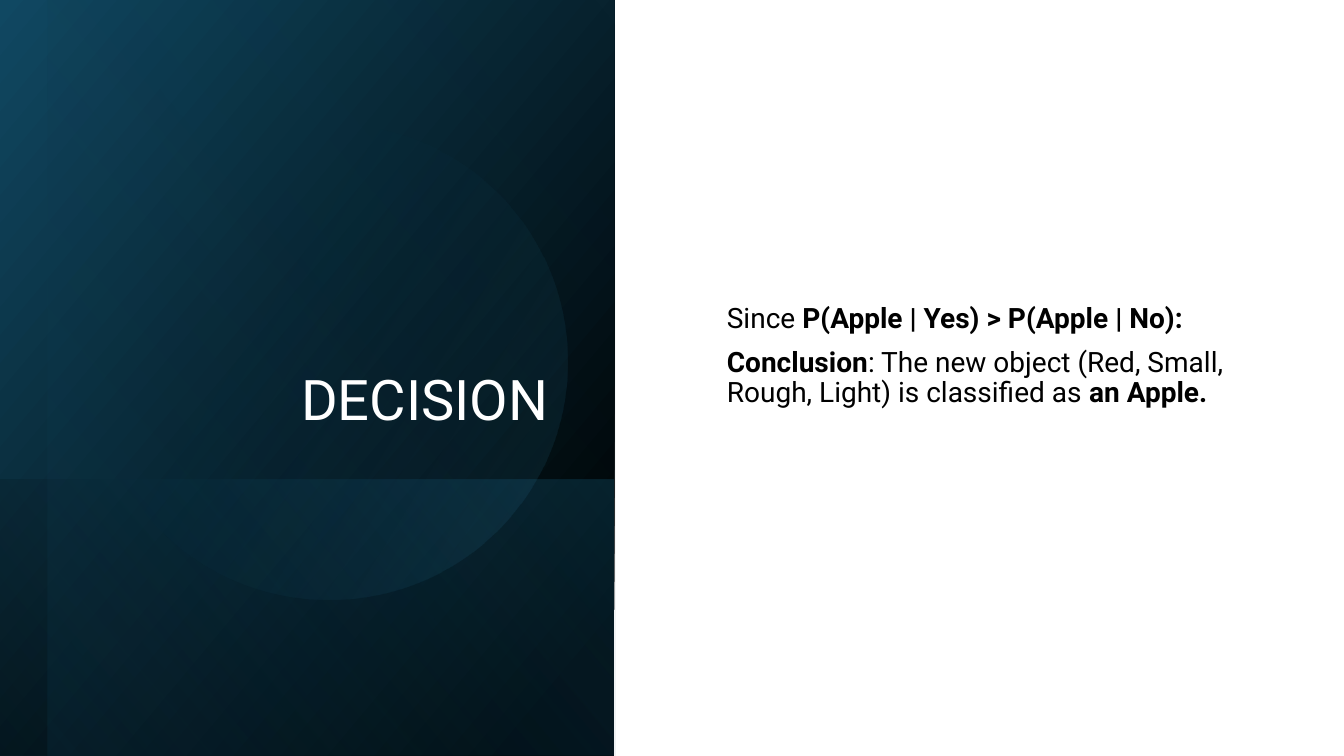
from lxml import etree
from pptx import Presentation
from pptx import util as u
from pptx.dml.color import RGBColor
from pptx.enum import shapes, text
from pptx.oxml.ns import qn

# Content: runs are (text, bold)
TITLE = [[("DECISION", False)]]
BODY = [
    [("Since ", False), ("P(Apple | Yes) > P(Apple | No):", True)],
    [("Conclusion", True),
     (": The new object (Red, Small, Rough, Light) is classified as ", False),
     ("an Apple.", True)],
]

THEME = {
    "font": "Roboto", "title_size": 40, "body_size": 20,
    "white": "FFFFFF", "black": "000000",
    "navy": "104862", "teal": "156082", "sky": "46B1E1",
}

# Panel layers, back to front: box in px before rotation,
# gradient stops as (position %, theme colour, opacity %)
RECT, OVAL = shapes.MSO_SHAPE.RECTANGLE, shapes.MSO_SHAPE.OVAL
LAYERS = [
    {"kind": RECT, "box": (-71, 71, 756, 615), "turn": 90, "flip": True,
     "angle": 50, "stops": [(8, "black", 100), (100, "navy", 100)]},
    {"kind": RECT, "box": (168, 310, 276, 615), "turn": 90, "flip": True,
     "angle": 130, "stops": [(2, "teal", 29), (100, "black", 30)]},
    {"kind": RECT, "box": (-46, 94, 756, 568), "turn": 90, "flip": True,
     "angle": 130, "stops": [(0, "black", 0), (99, "teal", 11)]},
    {"kind": OVAL, "box": (91, 124, 476, 476), "turn": 101.6, "flip": False,
     "angle": 290, "stops": [(39, "teal", 0), (100, "sky", 15)]},
]

TEXTS = [
    {"box": (91, 65, 467, 373), "paras": TITLE, "size": "title_size",
     "colour": "white", "anchor": text.MSO_ANCHOR.BOTTOM,
     "para": {"alignment": text.PP_ALIGN.RIGHT, "line_spacing": 0.9}},
    {"box": (717, 72, 536, 569), "paras": BODY, "size": "body_size",
     "colour": "black", "anchor": text.MSO_ANCHOR.MIDDLE,
     "para": {"alignment": text.PP_ALIGN.LEFT, "line_spacing": 0.9,
              "space_before": u.Pt(10)}},
]

SLIDE_PX = (1344, 756)
EMU_PER_PX = 914400 / 100.8


def px(*lengths):
    return [u.Emu(round(n * EMU_PER_PX)) for n in lengths]


def set_all(target, values):
    for name, value in values.items():
        setattr(target, name, value)


def fill_gradient(sp, stops, angle):
    """Linear gradient whose stops have their own opacity."""
    grad = etree.Element(qn("a:gradFill"), rotWithShape="1")
    gs_list = etree.SubElement(grad, qn("a:gsLst"))
    for pos, colour, opacity in stops:
        gs = etree.SubElement(gs_list, qn("a:gs"), pos=str(pos * 1000))
        clr = etree.SubElement(gs, qn("a:srgbClr"), val=THEME[colour])
        if opacity < 100:
            etree.SubElement(clr, qn("a:alpha"), val=str(opacity * 1000))
    etree.SubElement(grad, qn("a:lin"), ang=str(angle * 60000), scaled="0")
    sp._element.spPr.find(qn("a:prstGeom")).addnext(grad)


def add_layer(s, layer):
    sp = s.shapes.add_shape(layer["kind"], *px(*layer["box"]))
    sp.rotation = layer["turn"]
    sp.shadow.inherit = False
    sp.line.fill.background()
    if layer["flip"]:
        sp._element.spPr.find(qn("a:xfrm")).set("flipH", "1")
    fill_gradient(sp, layer["stops"], layer["angle"])


def add_text(s, block):
    tf = s.shapes.add_textbox(*px(*block["box"])).text_frame
    set_all(tf, {"word_wrap": True, "vertical_anchor": block["anchor"]})
    for i, runs in enumerate(block["paras"]):
        p = tf.add_paragraph() if i else tf.paragraphs[0]
        set_all(p, block["para"])
        for words, bold in runs:
            r = p.add_run()
            r.text = words
            set_all(r.font, {"name": THEME["font"], "bold": bold,
                             "size": u.Pt(THEME[block["size"]])})
            r.font.color.rgb = RGBColor.from_string(THEME[block["colour"]])


def main():
    prs = Presentation()
    prs.slide_width, prs.slide_height = px(*SLIDE_PX)
    s = prs.slides.add_slide(prs.slide_layouts[6])
    s.background.fill.solid()
    s.background.fill.fore_color.rgb = RGBColor.from_string(THEME["white"])

    # Dark panel on the left
    for layer in LAYERS:
        add_layer(s, layer)

    # Title and conclusion
    for block in TEXTS:
        add_text(s, block)

    prs.save("out.pptx")


if __name__ == "__main__":
    main()
